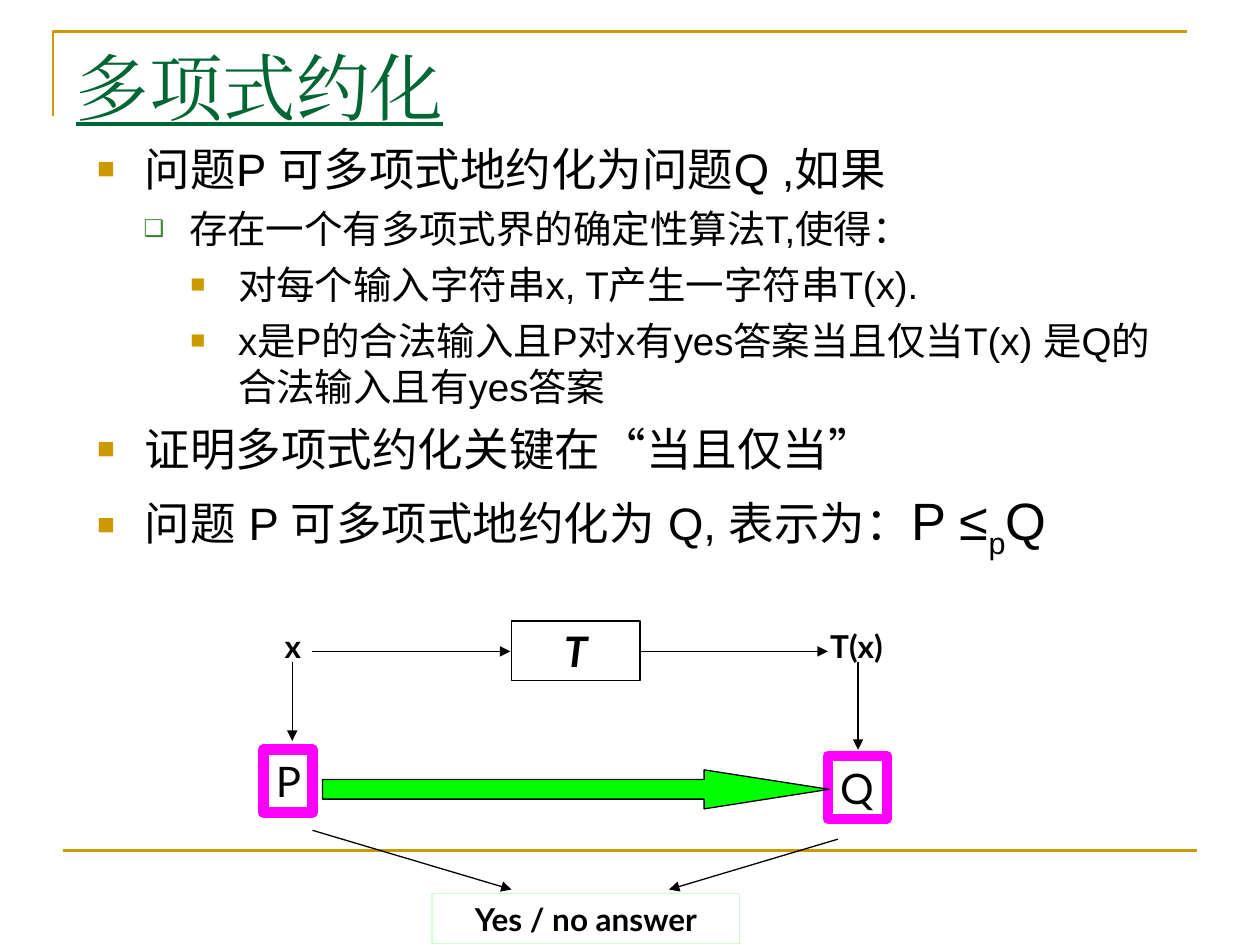
from dataclasses import dataclass
from typing import Optional

from lxml.etree import SubElement
from pptx import Presentation
from pptx.dml.color import RGBColor
from pptx.enum.shapes import MSO_CONNECTOR, MSO_SHAPE
from pptx.enum.text import MSO_ANCHOR, MSO_AUTO_SIZE, PP_ALIGN
from pptx.oxml.ns import qn
from pptx.util import Inches, Pt


@dataclass(frozen=True)
class Theme:
    gold: str = "CC9900"
    title: str = "006633"
    leaf: str = "3B812F"
    ink: str = "000000"
    magenta: str = "FF00FF"
    green: str = "00FF00"
    mint: str = "CCFFCC"
    title_font: str = "Times New Roman"
    body_font: str = "Arial"
    quote_font: str = "Noto Sans CJK SC"
    diagram_font: str = "Lato"
    title_size: float = 42
    main_size: float = 26
    detail_size: float = 22
    formula_size: float = 30
    node_size: float = 24
    label_size: float = 18
    thin: float = 0.75
    frame: float = 1.5
    thick: float = 6


THEME = Theme()


@dataclass(frozen=True)
class Level:
    margin: float
    hanging: float
    bullet: str
    color: str
    percent: int


@dataclass(frozen=True)
class Span:
    text: str
    size: float
    font: str = THEME.body_font
    baseline: int = 0


@dataclass(frozen=True)
class Item:
    level: int
    space: float
    spans: tuple[Span, ...]


@dataclass(frozen=True)
class Node:
    text: str
    area: tuple[float, float, float, float]
    size: float = THEME.label_size
    line: Optional[str] = None
    width: float = THEME.thin
    bold: bool = True
    italic: bool = False
    centered: bool = False


@dataclass(frozen=True)
class Arrow:
    start: tuple[float, float]
    end: tuple[float, float]


LEVELS = (
    Level(0.38, 0.38, "■", THEME.gold, 65),
    Level(0.73, 0.36, "❑", THEME.leaf, 60),
    Level(1.12, 0.38, "■", THEME.gold, 65),
)
MAIN, DETAIL, FORMULA = THEME.main_size, THEME.detail_size, THEME.formula_size
ITEMS = (
    Item(0, 0, (Span("问题P 可多项式地约化为问题Q ,如果", MAIN),)),
    Item(1, 5.5, (Span("存在一个有多项式界的确定性算法T,使得：", DETAIL),)),
    Item(2, 5.5, (Span("对每个输入字符串x, T产生一字符串T(x).", DETAIL),)),
    Item(2, 5.5, (Span("x是P的合法输入且P对x有yes答案当且仅当T(x) 是Q的合法输入且有yes答案", DETAIL),)),
    Item(0, 6.5, (
        Span("证明多项式约化关键在", MAIN),
        Span("“", MAIN, THEME.quote_font),
        Span("当且仅当", MAIN),
        Span("”", MAIN, THEME.quote_font),
    )),
    Item(0, 7.5, (
        Span("问题 P 可多项式地约化为 Q, 表示为：", MAIN),
        Span("P ≤", FORMULA),
        Span("p", FORMULA, baseline=-25000),
        Span("Q", FORMULA),
    )),
)
NODES = (
    Node("T", (4.06, 4.93, 1.02, 0.47), THEME.node_size, THEME.ink, italic=True, centered=True),
    Node("x", (2.16, 4.93, 0.39, 0.4)),
    Node("T(x)", (6.49, 4.93, 0.79, 0.4)),
    Node("P", (2.09, 5.95, 0.39, 0.5), THEME.node_size, THEME.magenta, THEME.thick, bold=False),
    Node("Q", (6.57, 6, 0.47, 0.5), THEME.node_size, THEME.magenta, THEME.thick, bold=False),
    Node("Yes / no answer", (3.43, 7.09, 2.44, 0.4), line=THEME.mint, centered=True),
)
ARROWS = (
    Arrow((2.48, 5.17), (4.05, 5.17)),
    Arrow((5.08, 5.17), (6.57, 5.17)),
    Arrow((2.32, 5.25), (2.32, 5.88)),
    Arrow((6.81, 5.25), (6.81, 5.95)),
    Arrow((2.48, 6.59), (4.06, 7.06)),
    Arrow((6.65, 6.66), (5.31, 7.06)),
)


def rgb(color: str) -> RGBColor:
    return RGBColor.from_string(color)


def set_line(shape, color: str, width: float) -> None:
    shape.line.color.rgb = rgb(color)
    shape.line.width = Pt(width)


def place(shape, left: float, top: float, width: float, height: float) -> None:
    shape.left, shape.top = Inches(left), Inches(top)
    shape.width, shape.height = Inches(width), Inches(height)


def add_span(para, text: str, size: float, font: str, color: str = THEME.ink):
    span = para.add_run()
    span.text = text
    span.font.size = Pt(size)
    span.font.color.rgb = rgb(color)
    span.font.name = font
    # East Asian characters take the same font
    SubElement(span.font._element, qn("a:ea"), typeface=font)
    return span


def set_bullet(para, level: Level) -> None:
    properties = para._p.get_or_add_pPr()
    properties.set("marL", str(Inches(level.margin)))
    properties.set("indent", str(-Inches(level.hanging)))
    color = SubElement(properties, qn("a:buClr"))
    SubElement(color, qn("a:srgbClr"), val=level.color)
    SubElement(properties, qn("a:buSzPct"), val=str(level.percent * 1000))
    SubElement(properties, qn("a:buFont"), typeface=THEME.body_font)
    SubElement(properties, qn("a:buChar"), char=level.bullet)


def add_item(para, item: Item) -> None:
    para.level = item.level
    set_bullet(para, LEVELS[item.level])
    para.space_before = Pt(item.space)
    for part in item.spans:
        span = add_span(para, part.text, part.size, part.font)
        if part.baseline:
            span.font._element.set("baseline", str(part.baseline))


def add_line(page, start: tuple[float, float], end: tuple[float, float], color: str, width: float):
    line = page.shapes.add_connector(
        MSO_CONNECTOR.STRAIGHT, *(Inches(value) for value in (*start, *end)))
    set_line(line, color, width)
    SubElement(line._element.spPr, qn("a:effectLst"))
    return line


def add_arrow(page, arrow: Arrow) -> None:
    line = add_line(page, arrow.start, arrow.end, THEME.ink, THEME.thin)
    SubElement(line.line._get_or_add_ln(), qn("a:tailEnd"), type="triangle")


def add_node(page, node: Node) -> None:
    area = [Inches(value) for value in node.area]
    if node.line:
        box = page.shapes.add_shape(MSO_SHAPE.RECTANGLE, *area)
        box.shadow.inherit = False
        box.fill.background()
        set_line(box, node.line, node.width)
    else:
        box = page.shapes.add_textbox(*area)
    frame = box.text_frame
    frame.word_wrap = True
    frame.vertical_anchor = MSO_ANCHOR.MIDDLE if node.italic else MSO_ANCHOR.TOP
    para = frame.paragraphs[0]
    para.alignment = PP_ALIGN.CENTER if node.centered else PP_ALIGN.LEFT
    span = add_span(para, node.text, node.size, THEME.diagram_font)
    span.font.bold, span.font.italic = node.bold, node.italic


def main() -> None:
    deck = Presentation()
    deck.slide_width, deck.slide_height = Inches(10), Inches(7.5)
    page = deck.slides.add_slide(deck.slide_layouts[1])

    # Gold frame
    builder = page.shapes.build_freeform(Inches(0.42), Inches(0.92))
    builder.add_line_segments(
        [(Inches(0.42), Inches(0.25)), (Inches(9.42), Inches(0.25))], close=False)
    corner = builder.convert_to_shape()
    corner.shadow.inherit = False
    corner.fill.background()
    set_line(corner, THEME.gold, THEME.frame)
    add_line(page, (0.5, 6.75), (9.5, 6.75), THEME.gold, THEME.frame)

    # Title
    title = page.shapes.title
    place(title, 0.5, 0.3, 9, 0.77)
    title.text_frame.auto_size = MSO_AUTO_SIZE.NONE
    title.text_frame.vertical_anchor = MSO_ANCHOR.MIDDLE
    heading = title.text_frame.paragraphs[0]
    heading.alignment = PP_ALIGN.LEFT
    span = add_span(heading, "多项式约化", THEME.title_size, THEME.title_font, THEME.title)
    span.font.underline = True

    # Bulleted list
    body = page.placeholders[1]
    place(body, 0.67, 1.07, 8.58, 3.47)
    frame = body.text_frame
    frame.auto_size = MSO_AUTO_SIZE.NONE
    for index, item in enumerate(ITEMS):
        add_item(frame.add_paragraph() if index else frame.paragraphs[0], item)

    # Reduction diagram
    for node in NODES:
        add_node(page, node)
    for arrow in ARROWS:
        add_arrow(page, arrow)
    reduction = page.shapes.add_shape(
        MSO_SHAPE.RIGHT_ARROW, Inches(2.56), Inches(6.11), Inches(4.02), Inches(0.31))
    reduction.shadow.inherit = False
    reduction.adjustments[0], reduction.adjustments[1] = 0.5, 3.2
    reduction.fill.solid()
    reduction.fill.fore_color.rgb = rgb(THEME.green)
    set_line(reduction, THEME.ink, THEME.thin)

    deck.save("out.pptx")


if __name__ == "__main__":
    main()
